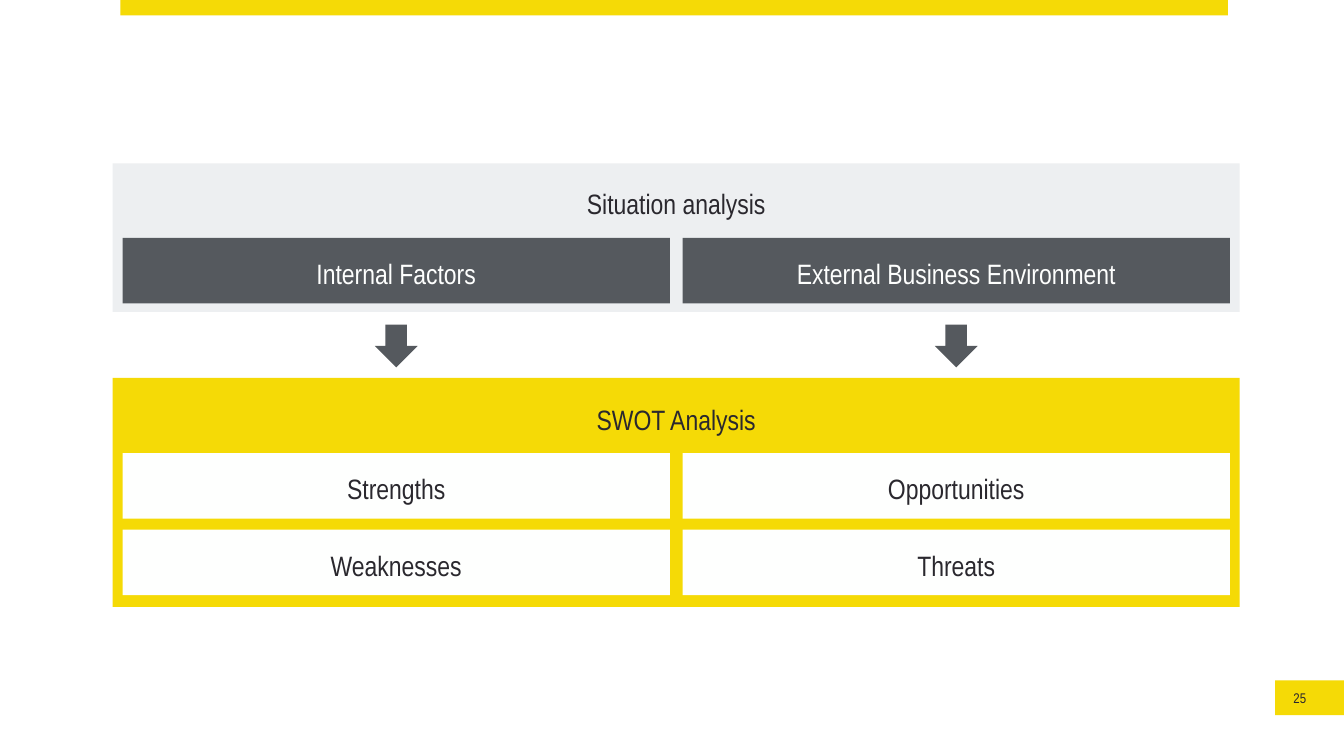
from pptx import Presentation
from pptx.dml.color import RGBColor
from pptx.enum.shapes import MSO_SHAPE as Shape
from pptx.enum.text import PP_ALIGN as Align
from pptx.util import Pt

YELLOW, GRAY, PALE, WHITE, INK = "F5DA06", "55595E", "EDEFF1", "FEFFFE", "2A282E"
CENTER = 966
COLUMNS = (175, 975)
BOX_WIDTH, BOX_HEIGHT = 782, 93.6
PANEL_WIDTH = 1610
ARROW_SIZE = 61.2


def color(value):
    return RGBColor.from_string(value)


class SlideBuilder:
    """Draws styled elements on one slide, with lengths in points."""

    def __init__(self, slide, font="Arial Narrow", inset=3):
        self.slide = slide
        self.font = font
        self.inset = inset

    def block(self, left, top, width, height, fill, kind=Shape.RECTANGLE):
        shape = self.slide.shapes.add_shape(
            kind, Pt(left), Pt(top), Pt(width), Pt(height))
        shape.shadow.inherit = False
        shape.fill.solid()
        shape.fill.fore_color.rgb = color(fill)
        shape.line.fill.background()

    def text(self, left, top, width, height, words, ink=INK, size=40,
             align=Align.CENTER, spacing=1.2):
        shape = self.slide.shapes.add_textbox(
            Pt(left), Pt(top), Pt(width), Pt(height))
        frame = shape.text_frame
        frame.word_wrap = True
        frame.margin_left = frame.margin_right = Pt(self.inset)
        frame.margin_top = frame.margin_bottom = Pt(self.inset)
        paragraph = frame.paragraphs[0]
        paragraph.alignment = align
        paragraph.line_spacing = spacing
        run = paragraph.add_run()
        run.text = words
        run.font.name = self.font
        run.font.size = Pt(size)
        run.font.color.rgb = color(ink)

    def panel(self, top, height, fill, title, title_top):
        self.block(CENTER - PANEL_WIDTH / 2, top, PANEL_WIDTH, height, fill)
        self.text(CENTER - 342, title_top, 684, 60, title)

    def box_row(self, top, labels, fill, ink):
        for left, label in zip(COLUMNS, labels):
            self.block(left, top, BOX_WIDTH, BOX_HEIGHT, fill)
            self.text(left + 107, top + 14, BOX_WIDTH - 214, 60, label, ink)

    def arrows(self, top):
        for left in COLUMNS:
            self.block(left + (BOX_WIDTH - ARROW_SIZE) / 2, top,
                       ARROW_SIZE, ARROW_SIZE, GRAY, Shape.DOWN_ARROW)


def main():
    presentation = Presentation()
    presentation.slide_width, presentation.slide_height = Pt(1920), Pt(1080)
    slide = presentation.slides.add_slide(presentation.slide_layouts[6])
    builder = SlideBuilder(slide)

    builder.block(1821.6, 972, 98.4, 49.7, YELLOW)
    builder.text(1821.6, 981.4, 47.5, 30.2, "25", "2A272E", 20, Align.RIGHT, 1)
    builder.block(172, 0, 1582, 22, YELLOW)

    builder.panel(233.3, 212.4, PALE, "Situation analysis", 254)
    builder.box_row(339.8, ("Internal Factors", "External Business Environment"),
                    GRAY, WHITE)
    builder.panel(540, 326.9, YELLOW, "SWOT Analysis", 563)
    builder.box_row(647.3, ("Strengths", "Opportunities"), WHITE, INK)
    builder.box_row(756.8, ("Weaknesses", "Threats"), WHITE, INK)
    builder.arrows(463.7)

    presentation.save("out.pptx")


if __name__ == "__main__":
    main()
